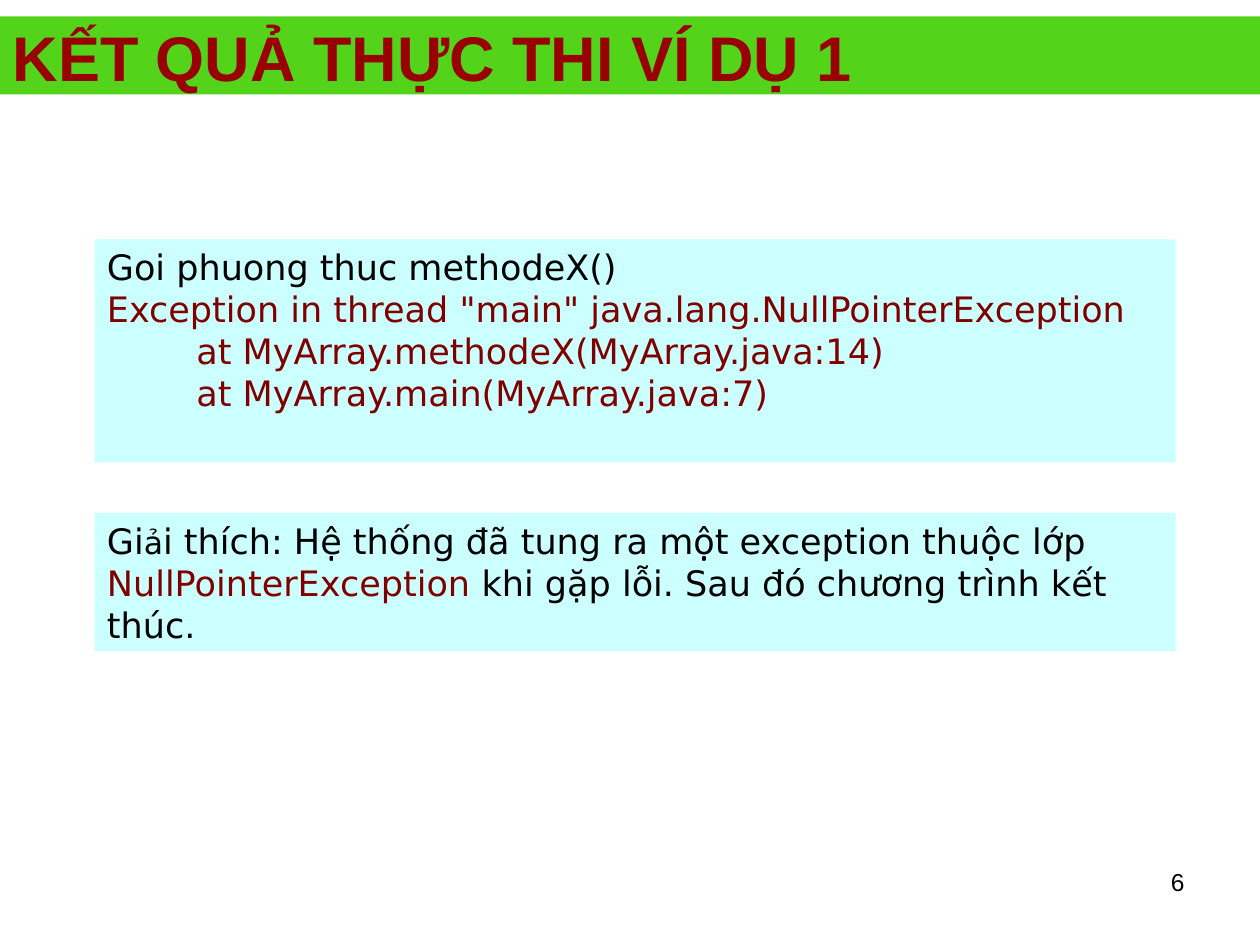
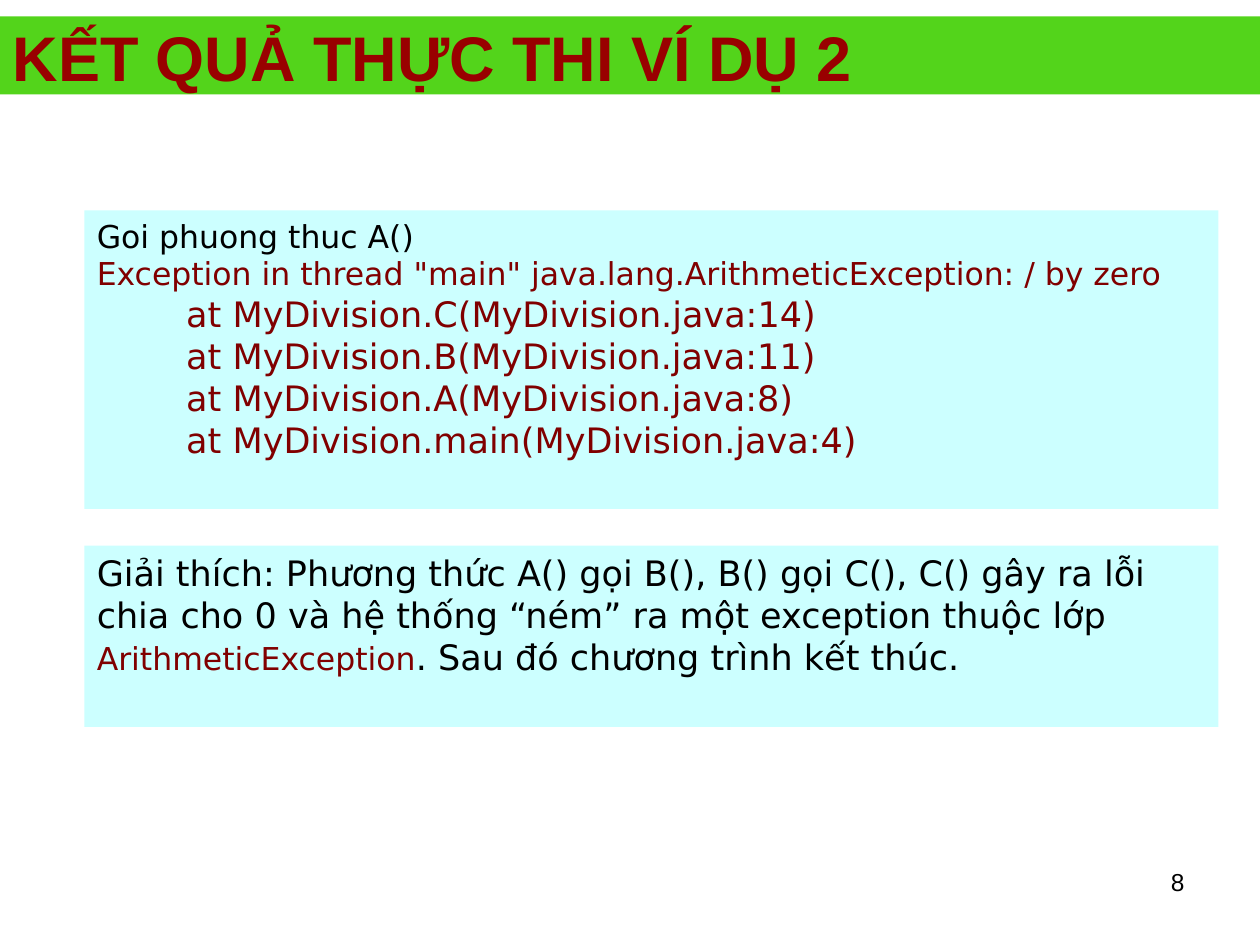
from pptx import Presentation
from pptx.dml.color import RGBColor
from pptx.enum.shapes import MSO_SHAPE
from pptx.enum.text import MSO_ANCHOR, MSO_AUTO_SIZE, PP_ALIGN
from pptx.util import Inches, Pt

BLACK, MAROON, TITLE_RED = "000000", "800000", "990000"
BAND_GREEN, PANEL_CYAN = "53D41B", "CCFFFF"
HEADING_FONT, BODY_FONT = "Arial", "DejaVu Sans"
TRACE_INDENT = 0.71

RESULTS = [
    {
        "title": "KẾT QUẢ THỰC THI VÍ DỤ 1",
        "number": "6",
        "left": 0.75,
        "width": 8.58,
        "output": {
            "top": 1.9,
            "height": 1.77,
            "size": 20,
            "call": "Goi phuong thuc methodeX()",
            "error": 'Exception in thread "main" java.lang.NullPointerException',
            "trace": [
                "at MyArray.methodeX(MyArray.java:14)",
                "at MyArray.main(MyArray.java:7)",
            ],
        },
        "explanation": {
            "top": 4.07,
            "height": 1.1,
            "before": 5,
            "runs": [
                ("Gi", 20, BLACK),
                ("ả", 18, BLACK),
                ("i thích: Hệ thống đã tung ra một exception thuộc lớp ", 20, BLACK),
                ("NullPointerException", 20, MAROON),
                (" khi gặp lỗi. Sau đó chương trình kết thúc.", 20, BLACK),
            ],
        },
    },
    {
        "title": "KẾT QUẢ THỰC THI VÍ DỤ 2",
        "number": "8",
        "left": 0.67,
        "width": 9,
        "output": {
            "top": 1.67,
            "height": 2.37,
            "size": 18,
            "call": "Goi phuong thuc A()",
            "error": 'Exception in thread "main" java.lang.ArithmeticException: / by zero',
            "trace": [
                "at MyDivision.C(MyDivision.java:14)",
                "at MyDivision.B(MyDivision.java:11)",
                "at MyDivision.A(MyDivision.java:8)",
                "at MyDivision.main(MyDivision.java:4)",
            ],
        },
        "explanation": {
            "top": 4.33,
            "height": 1.44,
            "before": 0,
            "runs": [
                ("Giải thích: Phương thức A() gọi B(), B() gọi C(), C() gây ra lỗi "
                 "chia cho 0 và hệ thống “ném” ra một exception thuộc lớp ", 20, BLACK),
                ("ArithmeticException", 18, MAROON),
                (". Sau đó chương trình kết thúc.", 20, BLACK),
            ],
        },
    },
]


def rgb(value):
    return RGBColor.from_string(value)


def write(paragraph, text, size=20, color=BLACK, font=BODY_FONT, bold=False,
          align=PP_ALIGN.LEFT, indent=0, before=0):
    paragraph.alignment = align
    paragraph.space_before = Pt(before)
    if indent:
        properties = paragraph._p.get_or_add_pPr()
        properties.set("marL", str(Inches(indent)))
        properties.set("indent", "0")
    run = paragraph.add_run()
    run.text = text
    run.font.size = Pt(size)
    run.font.name = font
    run.font.bold = bold
    run.font.color.rgb = rgb(color)


def add_block(slide, left, top, width, height, fill):
    block = slide.shapes.add_shape(
        MSO_SHAPE.RECTANGLE, Inches(left), Inches(top), Inches(width), Inches(height))
    block.shadow.inherit = False
    block.fill.solid()
    block.fill.fore_color.rgb = rgb(fill)
    block.line.fill.background()
    block.text_frame.word_wrap = True
    block.text_frame.vertical_anchor = MSO_ANCHOR.TOP
    return block


def add_number(slide, number):
    footer = slide.shapes.add_textbox(Inches(7.17), Inches(6.83), Inches(2.33), Inches(0.52))
    footer.text_frame.word_wrap = True
    write(footer.text_frame.paragraphs[0], number, size=14, font=HEADING_FONT,
          align=PP_ALIGN.RIGHT)


def add_output(slide, left, width, output):
    panel = add_block(slide, left, output["top"], width, output["height"], PANEL_CYAN)
    frame = panel.text_frame
    write(frame.paragraphs[0], output["call"], size=output["size"])
    write(frame.add_paragraph(), output["error"], size=output["size"], color=MAROON)
    for step in output["trace"]:
        write(frame.add_paragraph(), step, color=MAROON, indent=TRACE_INDENT)


def add_explanation(slide, left, width, explanation):
    panel = add_block(slide, left, explanation["top"], width, explanation["height"], PANEL_CYAN)
    for text, size, color in explanation["runs"]:
        write(panel.text_frame.paragraphs[0], text, size=size, color=color,
              before=explanation["before"])


def add_title(slide, text):
    add_block(slide, 0, 0.13, 10, 0.62, BAND_GREEN)
    title = slide.shapes.title
    title.left, title.top = Inches(0), Inches(0.24)
    title.width, title.height = Inches(10), Inches(0.42)
    frame = title.text_frame
    frame.auto_size = MSO_AUTO_SIZE.NONE
    frame.vertical_anchor = MSO_ANCHOR.MIDDLE
    write(frame.paragraphs[0], text, size=36, color=TITLE_RED, font=HEADING_FONT, bold=True)
    title.element.getparent().append(title.element)


def main():
    deck = Presentation()
    deck.slide_width, deck.slide_height = Inches(10), Inches(7.5)
    for result in RESULTS:
        slide = deck.slides.add_slide(deck.slide_layouts.get_by_name("Title Only"))
        add_number(slide, result["number"])
        add_output(slide, result["left"], result["width"], result["output"])
        add_explanation(slide, result["left"], result["width"], result["explanation"])
        add_title(slide, result["title"])
    deck.save("out.pptx")


if __name__ == "__main__":
    main()
